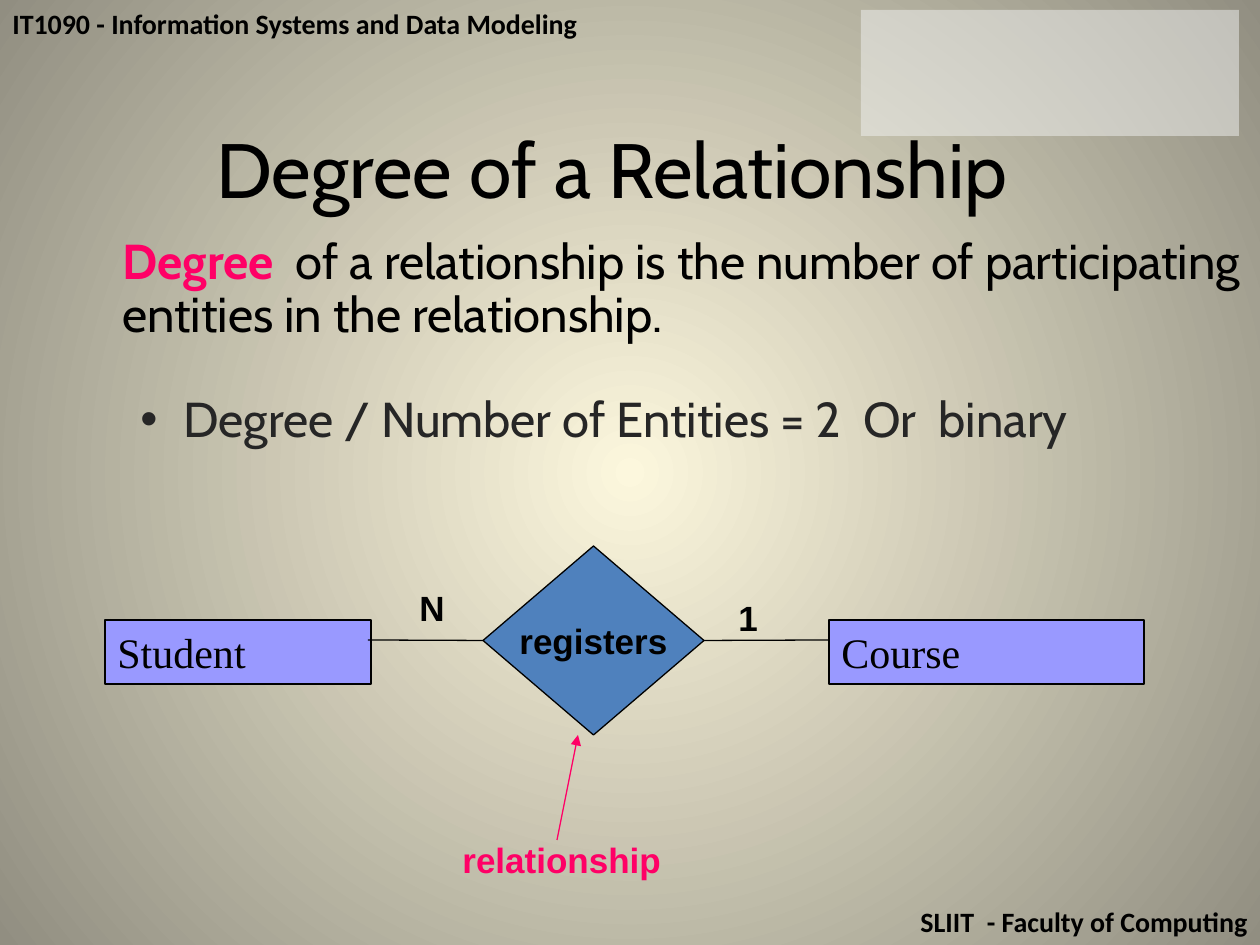
from lxml import etree
from pptx import Presentation
from pptx.dml.color import RGBColor
from pptx.enum.shapes import MSO_CONNECTOR, MSO_SHAPE
from pptx.enum.text import MSO_ANCHOR, MSO_AUTO_SIZE, PP_ALIGN
from pptx.oxml.ns import qn
from pptx.util import Emu, Pt

LEFT, CENTER, RIGHT = PP_ALIGN.LEFT, PP_ALIGN.CENTER, PP_ALIGN.RIGHT
TOP, MIDDLE = MSO_ANCHOR.TOP, MSO_ANCHOR.MIDDLE
RECT, DIAMOND = MSO_SHAPE.RECTANGLE, MSO_SHAPE.DIAMOND
STRAIGHT = MSO_CONNECTOR.STRAIGHT
NO_FIT = MSO_AUTO_SIZE.NONE
SCALE = 914400 / 126
BLACK, PINK = "000000", "FF0066"


def px(n):
    """Turn pixels into EMU."""
    return Emu(round(n * SCALE))


def rgb(value):
    """Turn a hex string into a colour."""
    return RGBColor.from_string(value)


def add_run(p, text, font, size, color=BLACK, bold=False):
    """Add one formatted run to a paragraph."""
    r = p.add_run()
    r.text = text
    r.font.name = font
    r.font.size = Pt(size)
    r.font.bold = bold
    r.font.color.rgb = rgb(color)


def set_frame(sp, wrap=True, anchor=TOP, align=LEFT):
    """Set up the text frame and return its first paragraph."""
    tf = sp.text_frame
    tf.word_wrap = wrap
    tf.auto_size = NO_FIT
    tf.vertical_anchor = anchor
    p = tf.paragraphs[0]
    p.alignment = align
    return p


def add_label(s, box, text, font, size, color=BLACK, wrap=False, align=LEFT):
    """Add a bold text box."""
    sp = s.shapes.add_textbox(*map(px, box))
    add_run(set_frame(sp, wrap, align=align), text, font, size, color, True)


def add_block(s, kind, box, fill, line=None):
    """Add a filled shape, outlined when a line colour is given."""
    sp = s.shapes.add_shape(kind, *map(px, box))
    sp.shadow.inherit = False
    sp.fill.solid()
    sp.fill.fore_color.rgb = rgb(fill)
    if line:
        sp.line.color.rgb = rgb(line)
        sp.line.width = Pt(0.75)
    else:
        sp.line.fill.background()
    return sp


def add_line(s, start, end, color=BLACK):
    """Add a thin straight connector."""
    c = s.shapes.add_connector(STRAIGHT, *map(px, (*start, *end)))
    c.line.color.rgb = rgb(color)
    c.line.width = Pt(0.75)
    etree.SubElement(c.element.spPr, qn("a:effectLst"))
    return c


def set_background(s, inner, outer):
    """Fill the background with a radial gradient."""
    fill = s.background.fill
    fill.gradient()
    for stop, color, pos in zip(fill.gradient_stops, (inner, outer), (0, 1)):
        stop.color.rgb = rgb(color)
        stop.position = pos
    grad = next(s.element.iter(qn("a:gradFill")))
    grad.remove(grad.find(qn("a:lin")))
    path = etree.SubElement(grad, qn("a:path"), path="circle")
    etree.SubElement(path, qn("a:fillToRect"), l="50000", t="50000", r="50000", b="50000")


def add_banner(s, width, height):
    """Add the course name, the faculty name and the pale panel."""
    bar = 47
    add_label(s, (0, 0, width, bar), "IT1090 - Information Systems and Data Modeling",
              "Calibri", 16, wrap=True)
    add_label(s, (0, height - bar, width, bar), "SLIIT  - Faculty of Computing",
              "Calibri", 16, wrap=True, align=RIGHT)
    panel = add_block(s, RECT, (861, 10, 378, 126), "F2F2F2")
    color = next(panel.element.spPr.iter(qn("a:srgbClr")))
    etree.SubElement(color, qn("a:alpha"), val="50000")


def set_title(s, box, text):
    """Place the title in front of the banner."""
    sp = s.shapes.title
    sp.left, sp.top, sp.width, sp.height = map(px, box)
    add_run(set_frame(sp, anchor=MIDDLE, align=CENTER), text, "Cabin", 44)
    sp.element.getparent().append(sp.element)


def add_body(s, box):
    """Add the definition and its bullet."""
    sp = s.shapes.add_textbox(*map(px, box))
    p = set_frame(sp)
    p.line_spacing = 0.9
    add_run(p, "Degree", "Cabin", 28, PINK, True)
    add_run(p, "  of a relationship is the number of participating entities in the relationship.",
            "Cabin", 28)
    p = sp.text_frame.add_paragraph()
    pPr = p._p.get_or_add_pPr()
    pPr.set("marL", str(px(61)))
    pPr.set("indent", str(px(-43)))
    etree.SubElement(pPr, qn("a:buFont"), typeface="Arial")
    etree.SubElement(pPr, qn("a:buChar"), char="•")
    p.line_spacing = 0.9
    p.space_before = Pt(30)
    add_run(p, "Degree / Number of Entities = 2  Or  binary", "Cabin", 28, "262626")


def add_diagram(s, x, y):
    """Draw two entities joined by a relationship diamond."""
    mid = y + 94
    for left, width, name in ((0, 266, "Student"), (724, 315, "Course")):
        sp = add_block(s, RECT, (x + left, y + 74, width, 64), "9999FF", BLACK)
        add_run(set_frame(sp), name, "Times New Roman", 24)
    diamond = add_block(s, DIAMOND, (x + 378, y, 221, 189), "4F81BD", BLACK)
    p = set_frame(diamond, False, MIDDLE, CENTER)
    add_run(p, "registers", "Arial", 20, bold=True)
    add_line(s, (x + 263, mid), (x + 378, mid)).end_connect(diamond, 1)
    add_line(s, (x + 599, mid), (x + 724, mid)).begin_connect(diamond, 3)
    for box, text, color in (((302, 34, 50, 55), "N", BLACK),
                             ((621, 44, 45, 54), "1", BLACK),
                             ((345, 286, 223, 54), "relationship", PINK)):
        left, top, width, height = box
        add_label(s, (x + left, y + top, width, height), text, "Arial", 20, color)
    arrow = add_line(s, (x + 452, y + 294), (x + 473, y + 189), PINK)
    etree.SubElement(arrow.line._get_or_add_ln(), qn("a:tailEnd"), type="triangle")


def main():
    """Build and save the slide."""
    prs = Presentation()
    prs.slide_width, prs.slide_height = px(1260), px(945)
    s = prs.slides.add_slide(prs.slide_layouts[5])
    set_background(s, "FCF7DD", "918E81")
    add_banner(s, 1260, 945)
    set_title(s, (110, 105, 1022, 126), "Degree of a Relationship ")
    add_body(s, (110, 231, 1150, 661))
    add_diagram(s, 105, 546)
    prs.save("out.pptx")


if __name__ == "__main__":
    main()
